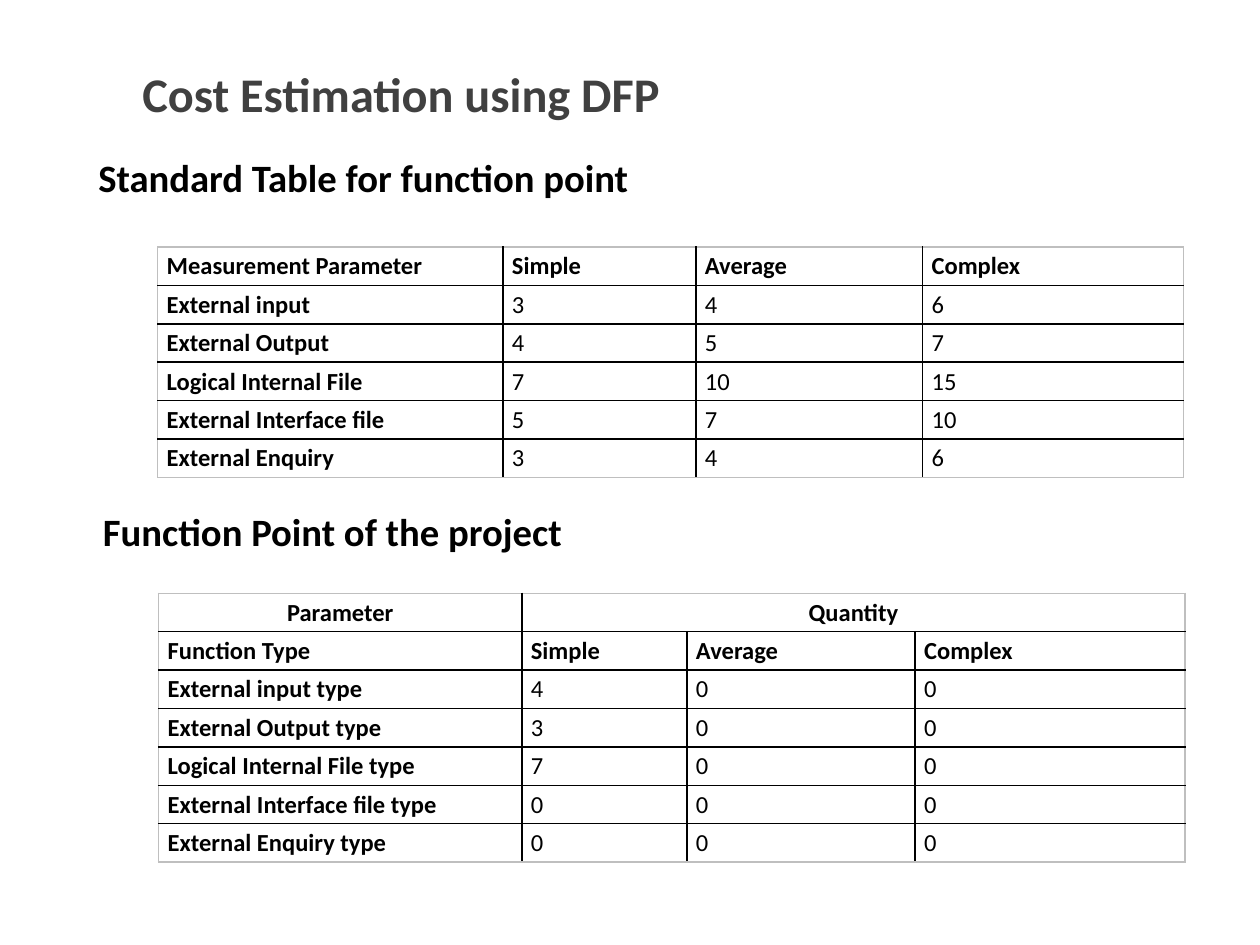
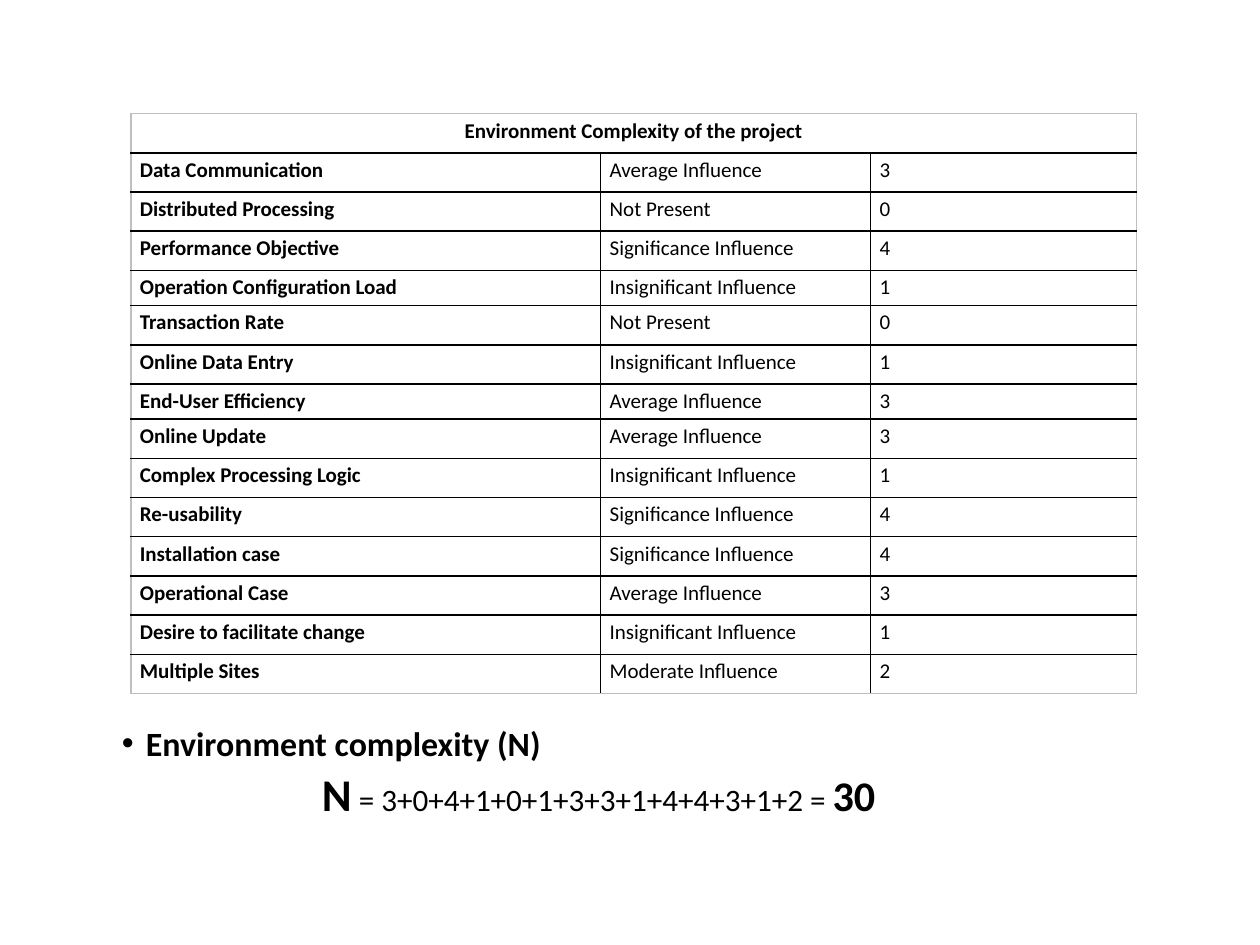
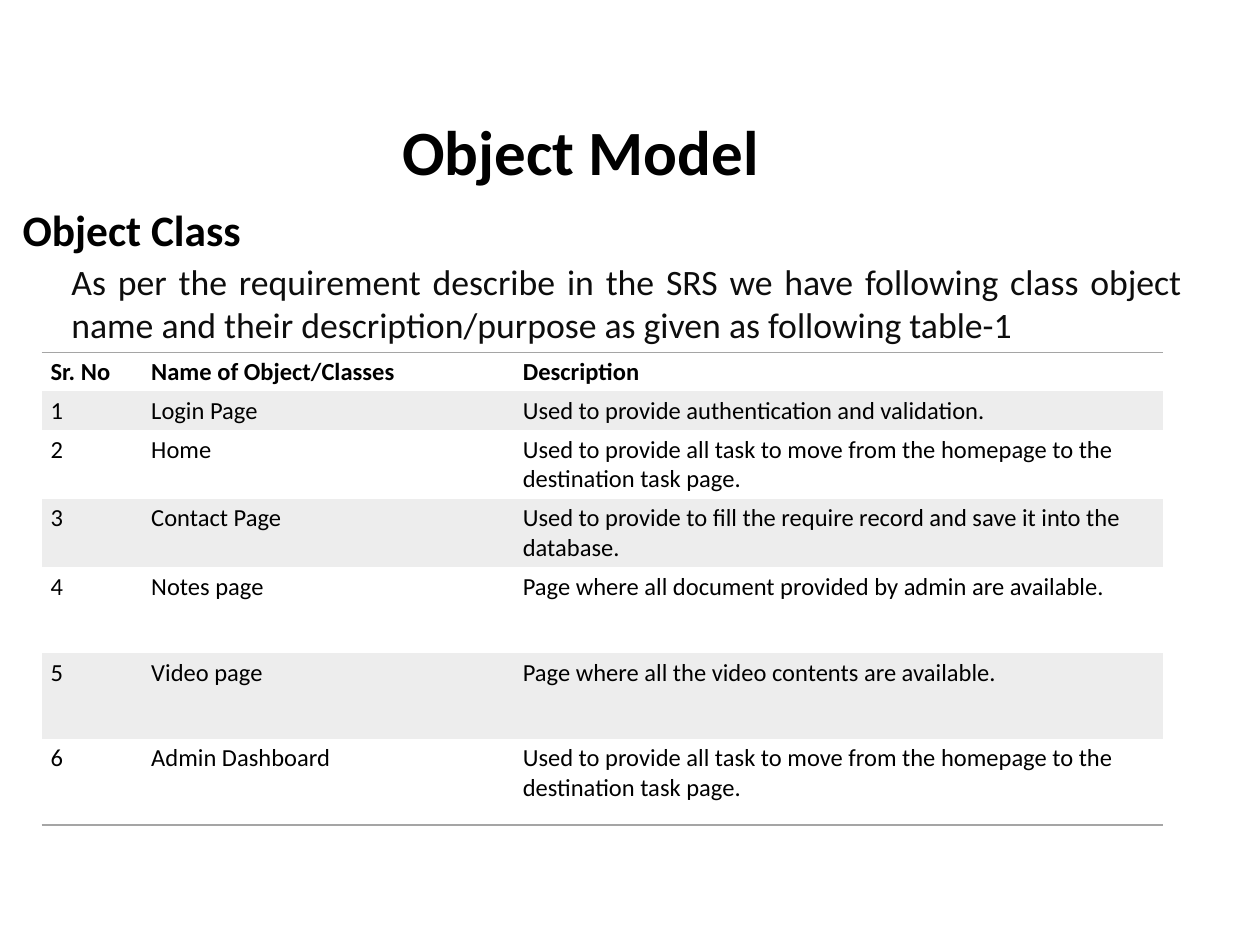
from pptx import Presentation
from pptx.dml.color import RGBColor
from pptx.enum.text import MSO_ANCHOR, MSO_AUTO_SIZE, PP_ALIGN
from pptx.oxml.ns import qn
from pptx.util import Cm, Pt
from lxml.etree import SubElement

FONT = "Calibri"
BLACK = RGBColor(0x00, 0x00, 0x00)
INK = RGBColor(0x0D, 0x0D, 0x0D)
SLATE = RGBColor(0x40, 0x40, 0x40)
RULE = RGBColor(0xA5, 0xA5, 0xA5)
FRAME = RGBColor(0xBF, 0xBF, 0xBF)
BAND = RGBColor(0xED, 0xED, 0xED)

TITLE_ONLY, BLANK = 5, 6

LEVELS = ["Simple", "Average", "Complex"]
KINDS = ["External input", "External Output", "Logical Internal File",
         "External Interface file", "External Enquiry"]
WEIGHTS = [(3, 4, 6), (4, 5, 7), (7, 10, 15), (5, 7, 10), (3, 4, 6)]
COUNTS = [4, 3, 7, 0, 0]

FACTORS = [
    ("Data Communication", "Average Influence", 3),
    ("Distributed Processing", "Not Present", 0),
    ("Performance Objective", "Significance Influence", 4),
    ("Operation Configuration Load", "Insignificant Influence", 1),
    ("Transaction Rate", "Not Present", 0),
    ("Online Data Entry", "Insignificant Influence", 1),
    ("End-User Efficiency", "Average Influence", 3),
    ("Online Update", "Average Influence", 3),
    ("Complex Processing Logic", "Insignificant Influence", 1),
    ("Re-usability", "Significance Influence", 4),
    ("Installation case", "Significance Influence", 4),
    ("Operational Case", "Average Influence", 3),
    ("Desire to facilitate change", "Insignificant Influence", 1),
    ("Multiple Sites", "Moderate Influence", 2),
]

MOVE = ("Used to provide all task to move from the homepage "
        "to the destination task page.")
PAGES = [
    ("Login Page", "Used to provide authentication and validation."),
    ("Home", MOVE),
    ("Contact Page", "Used to provide to fill the require record and save it "
                     "into the database."),
    ("Notes page", "Page where all document provided by admin are available."),
    ("Video page", "Page where all the video contents are available."),
    ("Admin Dashboard", MOVE),
]


def write(para, text, size=14, bold=False, color=BLACK, align=None,
          space=None, before=None):
    """Add a run to the paragraph and format both."""
    run = para.add_run()
    run.text = text
    run.font.name = FONT
    run.font.size = Pt(size)
    run.font.bold = bold
    run.font.color.rgb = color
    if align is not None:
        para.alignment = align
    if space is not None:
        para.line_spacing = space
    if before is not None:
        para.space_before = Pt(before)


def place(shape, left, top, width, height):
    shape.left, shape.top = Cm(left), Cm(top)
    shape.width, shape.height = Cm(width), Cm(height)


def add_title(slide, text, box, **form):
    title = slide.shapes.title
    place(title, *box)
    frame = title.text_frame
    frame.auto_size = MSO_AUTO_SIZE.NONE
    frame.vertical_anchor = MSO_ANCHOR.MIDDLE
    write(frame.paragraphs[0], text, bold=True, space=0.9, **form)


def add_box(slide, box, anchor=MSO_ANCHOR.TOP):
    """Add a wrapped text box and return its text frame."""
    frame = slide.shapes.add_textbox(*map(Cm, box)).text_frame
    frame.word_wrap = True
    frame.vertical_anchor = anchor
    return frame


def add_text(slide, text, box, anchor=MSO_ANCHOR.TOP, **form):
    write(add_box(slide, box, anchor).paragraphs[0], text, **form)


def indent(para, left, first=0, bullet=None):
    props = para._p.get_or_add_pPr()
    props.set("marL", str(Cm(left)))
    props.set("indent", str(Cm(first)))
    if bullet:
        SubElement(props, qn("a:buFont"), typeface="Arial")
        SubElement(props, qn("a:buChar"), char=bullet)


def draw_edges(cell, colors):
    """Line the left, right, top and bottom edges; None leaves one bare."""
    props = cell._tc.get_or_add_tcPr()
    for side, color in zip("LRTB", colors):
        line = SubElement(props, qn(f"a:ln{side}"), w=str(Pt(1)))
        if color is None:
            SubElement(line, qn("a:noFill"))
        else:
            fill = SubElement(line, qn("a:solidFill"))
            SubElement(fill, qn("a:srgbClr"), val=str(color))


def grid_edges(cell, row, col, rows, cols):
    """Black lines inside a grey frame."""
    end = col + (cell.span_width if cell.is_merge_origin else 1)
    inner = None if cell.is_spanned else BLACK
    return (FRAME if col == 0 else inner,
            FRAME if end == cols else inner,
            FRAME if row == 0 else BLACK,
            FRAME if row == rows - 1 else BLACK)


def rule_edges(cell, row, col, rows, cols):
    """Rules above and below the head and under the last row."""
    return (None, None,
            RULE if row == 0 else None,
            RULE if row in (0, rows - 1) else None)


def add_table(slide, data, spot, widths, heights, edges=grid_edges, size=14,
              heads=1, lead=True, banded=False, merge=None):
    """Bold goes to the head rows and, with lead, to the first column.

    merge is the column from which the first row is joined to its end.
    """
    rows, cols = len(data), len(widths)
    shape = slide.shapes.add_table(rows, cols, *map(Cm, spot),
                                   Cm(sum(widths)), Cm(sum(heights)))
    table = shape.table
    table.first_row = table.horz_banding = False
    for column, width in zip(table.columns, widths):
        column.width = Cm(width)
    for line, height in zip(table.rows, heights):
        line.height = Cm(height)
    if merge is not None:
        table.cell(0, merge).merge(table.cell(0, cols - 1))
    for row, values in enumerate(data):
        for col in range(cols):
            cell = table.cell(row, col)
            cell.margin_left = cell.margin_right = Cm(0.18)
            cell.margin_top = cell.margin_bottom = Cm(0.09)
            draw_edges(cell, edges(cell, row, col, rows, cols))
            if banded and row % 2:
                cell.fill.solid()
                cell.fill.fore_color.rgb = BAND
            else:
                cell.fill.background()
            if col < len(values):
                center = merge is not None and row == 0
                write(cell.text_frame.paragraphs[0], str(values[col]),
                      size=size, bold=row < heads or (lead and col == 0),
                      align=PP_ALIGN.CENTER if center else None)


def build_points(deck):
    slide = deck.slides.add_slide(deck.slide_layouts[TITLE_ONLY])
    add_title(slide, "Standard Table for function point",
              (-0.2, 3.15, 15.04, 0.97), size=22.1, align=PP_ALIGN.CENTER)
    add_text(slide, "Cost Estimation using DFP", (2.62, 1.5, 16.1, 1.09),
             MSO_ANCHOR.BOTTOM, size=27.6, bold=True, color=SLATE)
    add_text(slide, "Function Point of the project",
             (1.47, 10.16, 10.46, 1.09), MSO_ANCHOR.MIDDLE,
             size=22.1, bold=True, align=PP_ALIGN.CENTER)
    weights = [["Measurement Parameter", *LEVELS]]
    weights += [[kind, *row] for kind, row in zip(KINDS, WEIGHTS)]
    add_table(slide, weights, (3.18, 4.98), (6.96, 3.89, 4.57, 5.26),
              [0.77] * len(weights))
    counts = [["Parameter", "Quantity"], ["Function Type", *LEVELS]]
    counts += [[f"{kind} type", n, 0, 0] for kind, n in zip(KINDS, COUNTS)]
    add_table(slide, counts, (3.2, 11.96), (7.32, 3.33, 4.6, 5.44),
              [0.77] * len(counts), heads=2, merge=1)


def build_factors(deck):
    slide = deck.slides.add_slide(deck.slide_layouts[BLANK])
    data = [["Environment Complexity of the project"], *FACTORS]
    heights = [0.71 if row in (4, 7) else 0.79 for row in range(len(data))]
    add_table(slide, data, (2.64, 2.29), (9.47, 5.44, 5.36), heights,
              size=12, merge=0)
    frame = add_box(slide, (2.21, 14.61, 23.29, 2.21))
    head, total = frame.paragraphs[0], frame.add_paragraph()
    write(head, "Environment complexity (N)", size=19.4, bold=True,
          space=0.8, before=7.5)
    indent(head, 0.48, -0.48, "•")
    scores = [score for _, _, score in FACTORS]
    write(total, "N", size=25.9, bold=True, space=0.8, before=7.5)
    write(total, f" = {'+'.join(map(str, scores))} = ", size=17.8)
    write(total, str(sum(scores)), size=24.1, bold=True)
    indent(total, 4.03)


def build_model(deck):
    slide = deck.slides.add_slide(deck.slide_layouts[TITLE_ONLY])
    add_title(slide, "Object Class", (0.2, 3.96, 8.51, 1.45),
              size=24.8, align=PP_ALIGN.LEFT)
    data = [["Sr. No", "Name of Object/Classes", "Description"]]
    data += [[n, *page] for n, page in enumerate(PAGES, 1)]
    add_table(slide, data, (0.84, 7.11), (2.03, 7.49, 13.08),
              [0.71] * 2 + [1.27] * 2 + [1.73] * 3,
              edges=rule_edges, lead=False, banded=True)
    add_text(slide, "As per the requirement describe in the SRS we have "
             "following class object name and their description/purpose "
             "as given as following table-1", (1.19, 5.11, 22.89, 1.65),
             size=20.4, color=INK, align=PP_ALIGN.JUSTIFY, before=4)
    add_text(slide, "Object Model", (6.55, 2.46, 10.31, 1.45),
             MSO_ANCHOR.BOTTOM, size=36, bold=True, align=PP_ALIGN.CENTER)


def main():
    deck = Presentation()
    deck.slide_width, deck.slide_height = Cm(25.4), Cm(19.05)
    build_points(deck)
    build_factors(deck)
    build_model(deck)
    deck.save("out.pptx")


if __name__ == "__main__":
    main()
